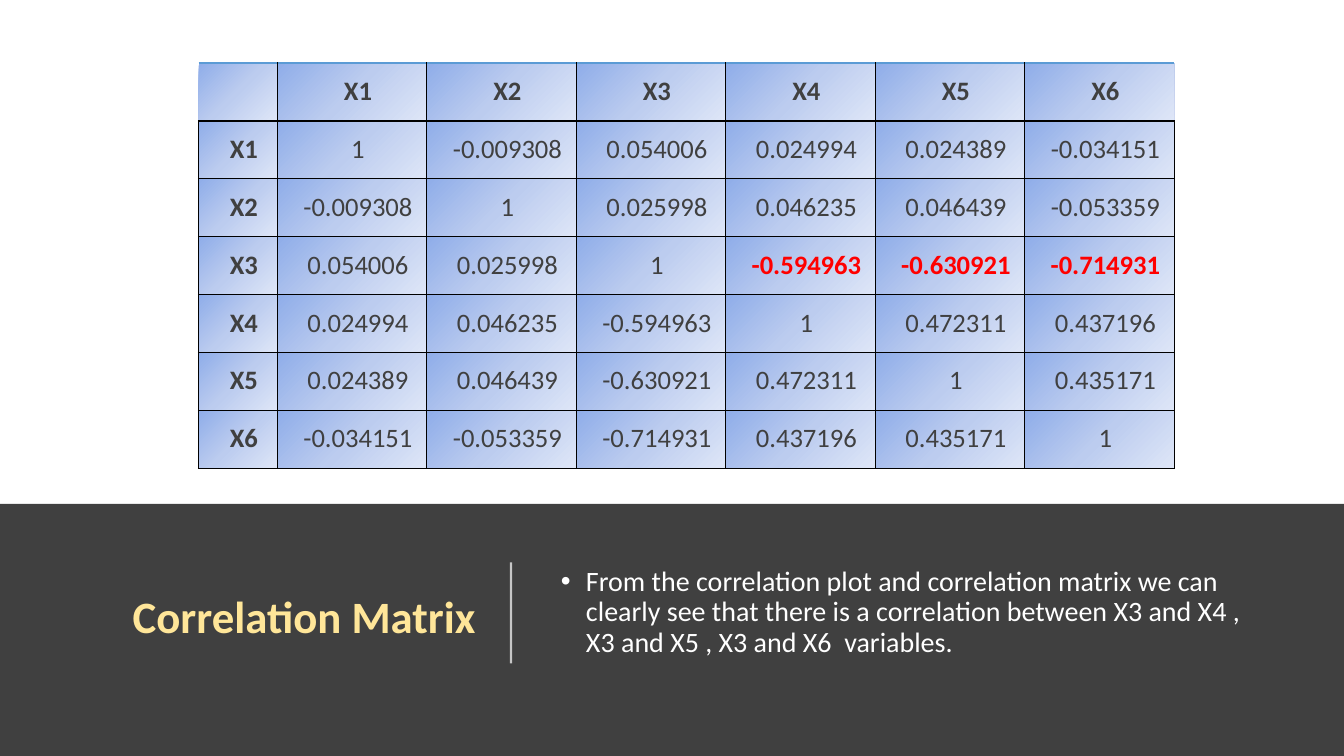
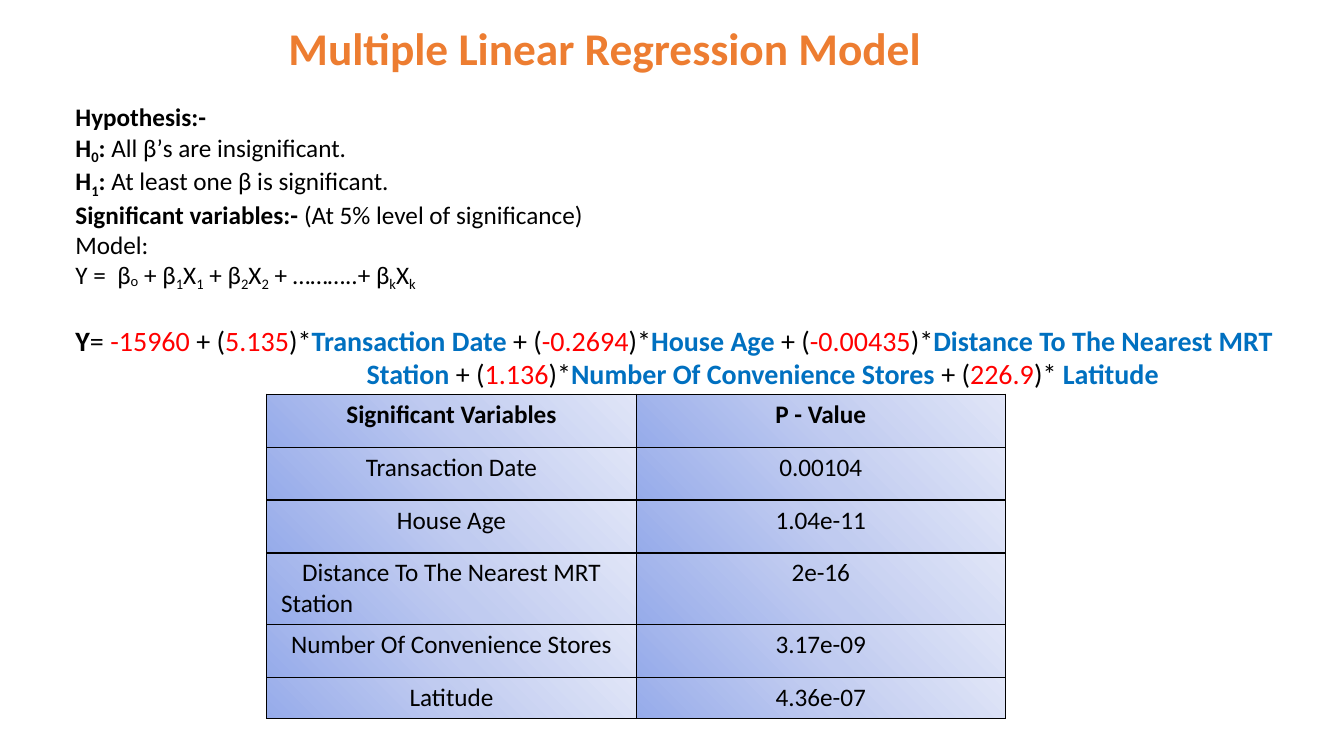
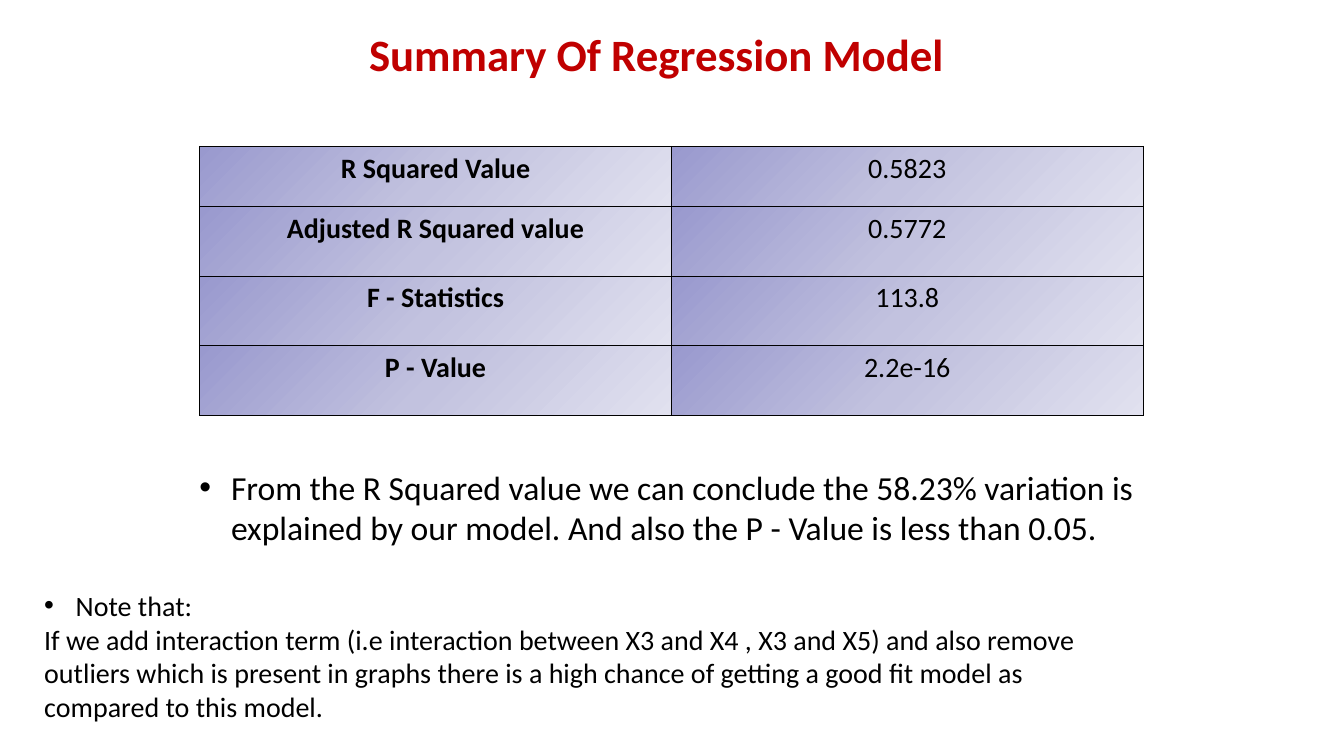
from lxml import etree
from pptx import Presentation
from pptx.dml.color import RGBColor
from pptx.enum import shapes, text
from pptx.oxml import ns
from pptx.util import Pt

FONT = "Calibri"
COLORS = {
    "white": "FFFFFF", "black": "000000", "charcoal": "404040", "cream": "FFE699",
    "orange": "ED7D31", "crimson": "C00000", "red": "FF0000", "blue": "0070C0",
    "header_line": "5B9BD5",
}
GRADIENTS = {
    "sky": ("8FADE9", "BCCCEF", "DEE6F7", 45),
    "periwinkle": ("96ABEA", "C0CBF0", "E0E5F7", 315),
    "lavender": ("9999CE", "C2C2DF", "E1E1EF", 45),
}
ALIGN = {"left": text.PP_ALIGN.LEFT, "center": text.PP_ALIGN.CENTER,
         "right": text.PP_ALIGN.RIGHT}
SIDES = {"left": "a:lnL", "right": "a:lnR", "top": "a:lnT", "bottom": "a:lnB"}
TITLE_SIZE = 32

VARIABLES = ["X1", "X2", "X3", "X4", "X5", "X6"]
UPPER_TRIANGLE = [
    ["1", "-0.009308", "0.054006", "0.024994", "0.024389", "-0.034151"],
    ["1", "0.025998", "0.046235", "0.046439", "-0.053359"],
    ["1", "-0.594963", "-0.630921", "-0.714931"],
    ["1", "0.472311", "0.437196"],
    ["1", "0.435171"],
    ["1"],
]
P_VALUES = [
    ("Transaction Date", "0.00104"),
    ("House Age", "1.04e-11"),
    ("Distance To The Nearest MRT\nStation", "2e-16"),
    ("Number Of Convenience Stores", "3.17e-09"),
    ("Latitude", "4.36e-07"),
]
MODEL_SUMMARY = [
    ("R Squared Value", "0.5823"),
    ("Adjusted R Squared value", "0.5772"),
    ("F - Statistics", "113.8"),
    ("P - Value", "2.2e-16"),
]


def rgb(name):
    return RGBColor.from_string(COLORS[name])


def child(parent, tag, **attributes):
    element = etree.SubElement(parent, ns.qn(tag))
    for key, value in attributes.items():
        element.set(key, str(value))
    return element


def add_runs(paragraph, runs, size, color="black"):
    """Add (words, options) runs; options are color, bold and baseline (percent)."""
    for words, options in runs:
        run = paragraph.add_run()
        run.text = words
        run.font.name = FONT
        run.font.size = Pt(size)
        run.font.bold = options.get("bold", False)
        run.font.color.rgb = rgb(options.get("color", color))
        if "baseline" in options:
            run.font._element.set("baseline", str(options["baseline"] * 1000))


def indent(paragraph, left, first=0, bullet=False):
    properties = paragraph._p.get_or_add_pPr()
    properties.set("marL", str(Pt(left)))
    properties.set("indent", str(Pt(first)))
    if bullet:
        child(properties, "a:buFont", typeface="Arial")
        child(properties, "a:buChar", char="•")


def add_text_frame(slide, box, anchor=text.MSO_ANCHOR.TOP):
    frame = slide.shapes.add_textbox(*map(Pt, box)).text_frame
    frame.word_wrap = True
    frame.vertical_anchor = anchor
    return frame


def add_title(slide, box, words, color, align="center", size=TITLE_SIZE):
    paragraph = add_text_frame(slide, box, text.MSO_ANCHOR.MIDDLE).paragraphs[0]
    paragraph.alignment = ALIGN[align]
    paragraph.line_spacing = 0.9
    add_runs(paragraph, [(words, {"bold": True})], size, color)


def style_cell(cell, gradient, borders):
    """Borders maps a side to a colour name; None means no line."""
    properties = cell._tc.get_or_add_tcPr()
    for side, tag in SIDES.items():
        line = child(properties, tag, w=Pt(1))
        color = borders[side]
        if color:
            child(child(line, "a:solidFill"), "a:srgbClr", val=COLORS[color])
        else:
            child(line, "a:noFill")
    *stops, angle = GRADIENTS[gradient]
    fill = child(properties, "a:gradFill", rotWithShape=1)
    stop_list = child(fill, "a:gsLst")
    for index, color in enumerate(stops):
        child(child(stop_list, "a:gs", pos=index * 50000), "a:srgbClr", val=color)
    child(fill, "a:lin", ang=angle * 60000, scaled=0)


def add_gradient_table(slide, origin, widths, heights, gradient):
    frame = slide.shapes.add_table(len(heights), len(widths), *map(
        Pt, (*origin, sum(widths), sum(heights))))
    table = frame.table
    table.first_row = table.horz_banding = False
    for column, width in zip(table.columns, widths):
        column.width = Pt(width)
    for row, height in zip(table.rows, heights):
        row.height = Pt(height)
    for cell in table.iter_cells():
        style_cell(cell, gradient, dict.fromkeys(SIDES, "black"))
    return table


def fill_cell(cell, words, size, bold=False, color="black"):
    """Centre the first line; any further line starts at the left."""
    first, *others = words.split("\n")
    paragraph = cell.text_frame.paragraphs[0]
    paragraph.alignment = ALIGN["center"]
    add_runs(paragraph, [(first, {"bold": bold})], size, color)
    for line in others:
        paragraph = cell.text_frame.add_paragraph()
        paragraph.alignment = ALIGN["left"]
        indent(paragraph, 3)
        add_runs(paragraph, [(line, {"bold": bold})], size, color)


def correlation_table(slide, origin):
    count = len(VARIABLES)
    table = add_gradient_table(slide, origin, [56.2] + [106.8] * count,
                               [41.4] * (count + 1), "sky")
    for row in range(count + 1):
        for column in range(count + 1):
            cell = table.cell(row, column)
            cell.margin_left = Pt(17.2)
            cell.margin_right = cell.margin_top = cell.margin_bottom = Pt(8.6)
            if row == 0:
                properties = cell._tc.get_or_add_tcPr()
                for element in list(properties):
                    properties.remove(element)
                style_cell(cell, "sky", {
                    "left": "black" if column else None,
                    "right": "black" if column < count else None,
                    "top": "header_line", "bottom": "black"})
            if row and column:
                low, high = sorted((row - 1, column - 1))
                strong = row == 3 and column > 3
                fill_cell(cell, UPPER_TRIANGLE[low][high - low], 19, strong,
                          "red" if strong else "charcoal")
            elif row or column:
                fill_cell(cell, VARIABLES[max(row, column) - 1], 19, True, "charcoal")


def caption_band(slide, left, top, width, height):
    band = slide.shapes.add_shape(shapes.MSO_SHAPE.RECTANGLE,
                                  *map(Pt, (left, top, width, height)))
    band.shadow.inherit = False
    band.fill.solid()
    band.fill.fore_color.rgb = rgb("charcoal")
    band.line.fill.background()

    add_title(slide, (left + 50.4, top + 30.2, 296.6, 104.4), "Correlation Matrix",
              "cream", "right")

    x = left + 365
    divider = slide.shapes.add_connector(shapes.MSO_CONNECTOR.STRAIGHT, *map(
        Pt, (x, top + 113.8, x, top + 41.8)))
    divider.line.width = Pt(1.5)
    divider.line.color.rgb = rgb("white")
    color = divider.line._ln.find(".//" + ns.qn("a:srgbClr"))
    child(color, "a:alpha", val=70000)
    child(divider._element.spPr, "a:effectLst")

    frame = add_text_frame(slide, (left + 384.5, top + 20.2, 525.6, 115.2),
                           text.MSO_ANCHOR.MIDDLE)
    paragraph = frame.paragraphs[0]
    paragraph.line_spacing = 0.9
    paragraph.space_after = Pt(6)
    indent(paragraph, 27, -18, bullet=True)
    add_runs(paragraph, [(
        "From the correlation plot and correlation matrix we can clearly see that there "
        "is a correlation between X3 and X4 , X3 and X5 , X3 and X6  variables.", {})],
        20, "white")


def hypothesis_text(slide, box):
    bold = {"bold": True}
    bold_sub = {"bold": True, "baseline": -22}
    sub = {"baseline": -18}
    number = {"color": "red"}
    variable = {"color": "blue", "bold": True}
    lines = [
        [("Hypothesis:-", bold)],
        [("H", bold), ("0", bold_sub), (":", bold), (" All β’s are insignificant.", {})],
        [("H", bold), ("1", bold_sub), (":", bold),
         (" At least one β is significant.", {})],
        [("Significant variables:-", bold), (" (At 5% level of significance)", {})],
        [("Model:", {})],
        [("Y =  β", {}), ("o", {"baseline": -8}), (" + β", {}), ("1", sub), ("X", {}),
         ("1", sub), (" + β", {}), ("2", sub), ("X", {}), ("2", sub),
         (" + ………..+ β", {}), ("k", sub), ("X", {}), ("k", sub)],
    ]
    equation = [
        [("Y", bold), ("= ", {}), ("-15960 ", number),
         ("+ (", {}), ("5.135", number), (")*", {}), ("Transaction Date ", variable),
         ("+ (", {}), ("-0.2694", number), (")*", {}), ("House Age ", variable),
         ("+ (", {}), ("-0.00435", number), (")*", {}),
         ("Distance To The Nearest MRT", variable)],
        [("Station", variable),
         (" + (", {}), ("1.136", number), (")*", {}),
         ("Number Of Convenience Stores ", variable),
         ("+ (", {}), ("226.9", number), (")* ", {}), ("Latitude", variable)],
    ]
    frame = add_text_frame(slide, box)
    paragraph = frame.paragraphs[0]
    for index, runs in enumerate(lines):
        if index:
            paragraph = frame.add_paragraph()
        add_runs(paragraph, runs, 18)
    for runs, gap, left in zip(equation, (22, 0), (0, 208)):
        paragraph = frame.add_paragraph()
        paragraph.space_before = Pt(gap)
        indent(paragraph, left)
        add_runs(paragraph, runs, 20)


def pair_table(slide, origin, column_width, heights, gradient, rows, size, is_bold):
    """Two equal columns; is_bold(row, column) picks the bold cells."""
    table = add_gradient_table(slide, origin, [column_width] * 2, heights, gradient)
    for row, pair in enumerate(rows):
        for column, words in enumerate(pair):
            fill_cell(table.cell(row, column), words, size, is_bold(row, column))


def conclusion_text(slide, box):
    paragraph = add_text_frame(slide, box).paragraphs[0]
    indent(paragraph, 22.5, -22.5, bullet=True)
    add_runs(paragraph, [(
        "From the R Squared value we can conclude the 58.23% variation is explained by "
        "our model. And also the P - Value is less than 0.05.", {})], 24)


def note_text(slide, box):
    frame = add_text_frame(slide, box)
    heading = frame.paragraphs[0]
    indent(heading, 22.5, -22.5, bullet=True)
    add_runs(heading, [("Note that:", {})], 20)
    add_runs(frame.add_paragraph(), [(
        "If we add interaction term (i.e interaction between X3 and X4 , X3 and X5) and "
        "also remove outliers which is present in graphs there is a high chance of "
        "getting a good fit model as compared to this model.", {})], 20)


def correlation_slide(slide):
    caption_band(slide, 0, 360, 960, 180)
    correlation_table(slide, (141.8, 45))


def regression_slide(slide):
    add_title(slide, (164.2, 15.1, 535.7, 41.8), "Multiple Linear Regression Model",
              "orange", size=32.4)
    hypothesis_text(slide, (46.8, 69.1, 885.6, 465.1))
    pair_table(slide, (190.6, 281.6), 263.8, [37.8] * 3 + [51.2, 37.8, 29.2],
               "periwinkle", [("Significant Variables", "P - Value")] + P_VALUES, 18,
               lambda row, column: row == 0)


def summary_slide(slide):
    pair_table(slide, (142.6, 104.6), 337, [43] + [49.7] * 3, "lavender",
               MODEL_SUMMARY, 20, lambda row, column: column == 0)
    add_title(slide, (246.2, 18, 445.7, 46), "Summary Of Regression Model", "crimson")
    conclusion_text(slide, (135.4, 329.8, 718.6, 65.5))
    note_text(slide, (24.5, 416.9, 792.7, 105.8))


def main():
    presentation = Presentation()
    presentation.slide_width = Pt(960)
    presentation.slide_height = Pt(540)
    blank = presentation.slide_layouts[6]
    for build in (correlation_slide, regression_slide, summary_slide):
        build(presentation.slides.add_slide(blank))
    presentation.save("out.pptx")


if __name__ == "__main__":
    main()
